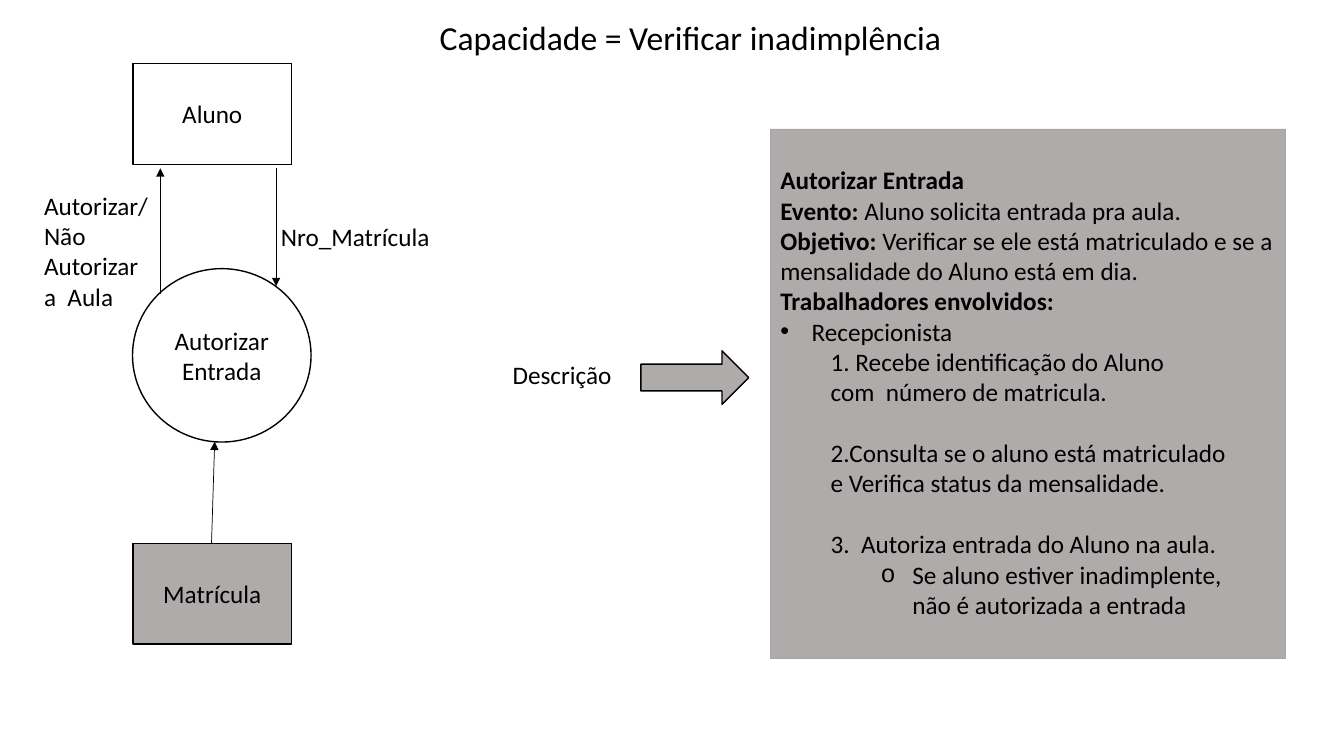
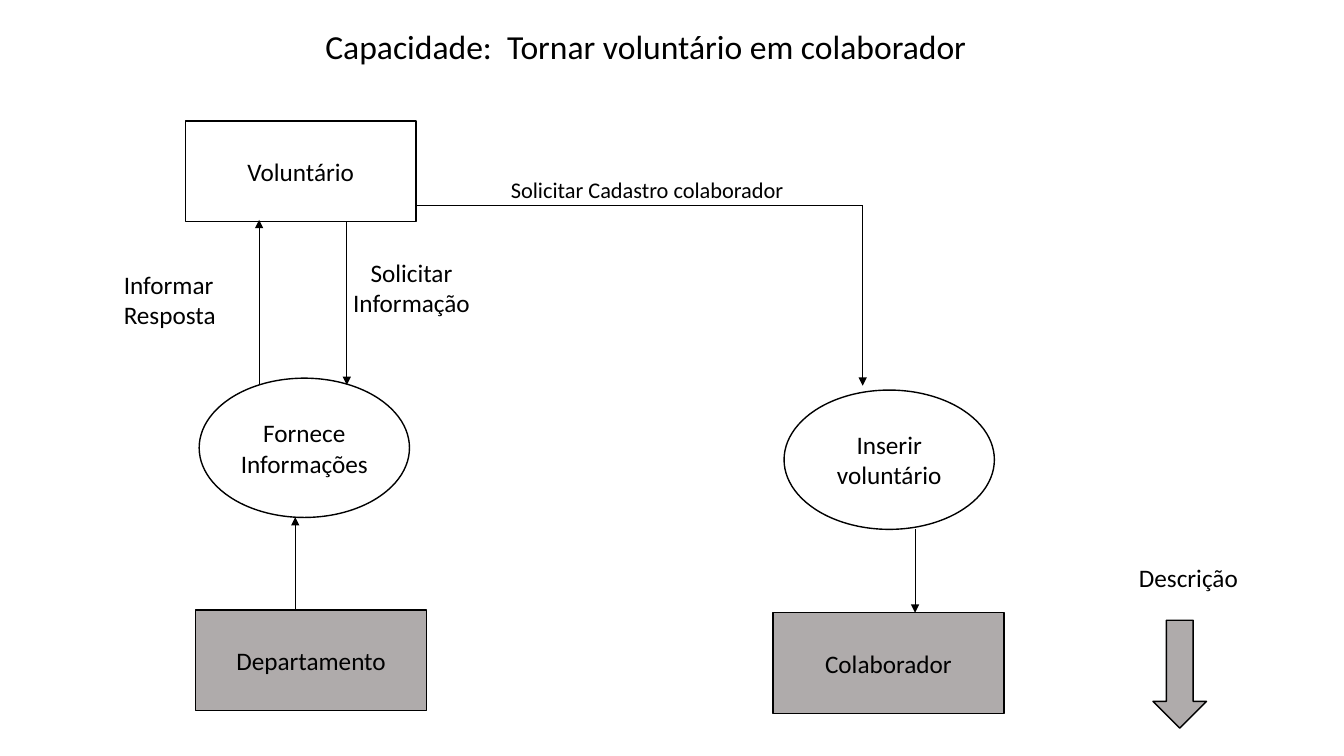
from collections import namedtuple

from lxml.etree import SubElement
from pptx import Presentation
from pptx.dml.color import RGBColor
from pptx.enum.shapes import MSO_CONNECTOR, MSO_SHAPE
from pptx.enum.text import MSO_ANCHOR, MSO_AUTO_SIZE, PP_ALIGN
from pptx.oxml.ns import qn
from pptx.util import Cm, Pt

BLACK = RGBColor(0x00, 0x00, 0x00)
WHITE = RGBColor(0xFF, 0xFF, 0xFF)
GRAY = RGBColor(0xAF, 0xAB, 0xAB)
EDGE_GRAY = RGBColor(0xA5, 0xA5, 0xA5)
FONT = "Calibri"
BODY_SIZE = 18
TITLE_SIZE = 24
LINE_GAP = 22
LABEL_HEIGHT = 1.02
ARROW_WIDTH, ARROW_HEIGHT = 2.72, 1.35

Box = namedtuple("Box", "left top width height")
Step = namedtuple("Step", "runs level left hanging bullet gap", defaults=(0, 0, 0, None, 0))


def inside(region, left, top, width, height):
    """Return a box given by its offset from the corner of a region."""
    return Box(region.left + left, region.top + top, width, height)


def style_text(frame, size=BODY_SIZE, align=PP_ALIGN.LEFT):
    """Format every run of a text frame in the shared font."""
    frame.word_wrap = True
    for paragraph in frame.paragraphs:
        paragraph.alignment = align
        for run in paragraph.runs:
            run.font.name = FONT
            run.font.size = Pt(size)
            run.font.color.rgb = BLACK


def paint(shape, fill, edge=BLACK, width=1):
    """Give a shape its fill and outline."""
    shape.fill.solid()
    shape.fill.fore_color.rgb = fill
    shape.line.color.rgb = edge
    shape.line.width = Pt(width)


def place(placeholder, box):
    """Move a placeholder to a box and fix its text size."""
    placeholder.left, placeholder.top, placeholder.width, placeholder.height = map(Cm, box)
    placeholder.text_frame.auto_size = MSO_AUTO_SIZE.NONE


def add_title(slide, box, text):
    """Write the capability in the title placeholder."""
    title = slide.shapes.title
    place(title, box)
    title.text_frame.text = text
    title.text_frame.vertical_anchor = MSO_ANCHOR.TOP
    style_text(title.text_frame, TITLE_SIZE, PP_ALIGN.CENTER)


def add_node(slide, box, kind, fill, text=""):
    """Draw one outlined shape with centred text."""
    node = slide.shapes.add_shape(kind, *map(Cm, box))
    node.shadow.inherit = False
    paint(node, fill)
    node.text_frame.text = text
    node.text_frame.vertical_anchor = MSO_ANCHOR.MIDDLE
    style_text(node.text_frame, align=PP_ALIGN.CENTER)
    return node


def add_entity(slide, box, text):
    """Draw an external entity."""
    add_node(slide, box, MSO_SHAPE.RECTANGLE, WHITE, text)


def add_store(slide, box, text):
    """Draw a data store."""
    add_node(slide, box, MSO_SHAPE.RECTANGLE, GRAY, text)


def add_process(slide, box, text):
    """Draw a process."""
    add_node(slide, box, MSO_SHAPE.OVAL, WHITE, text)


def add_label(slide, box, text, align=PP_ALIGN.LEFT, size=BODY_SIZE):
    """Write a free label."""
    label = slide.shapes.add_textbox(*map(Cm, box))
    label.text_frame.text = text
    style_text(label.text_frame, size, align)


def add_flow(slide, region, start, end, arrow=True):
    """Join two points of a region, with an arrowhead at the end."""
    points = [Cm(origin + offset) for point in (start, end)
              for origin, offset in zip(region[:2], point)]
    flow = slide.shapes.add_connector(MSO_CONNECTOR.STRAIGHT, *points)
    flow.line.color.rgb = BLACK
    flow.line.width = Pt(0.5)
    if arrow:
        SubElement(flow.line._get_or_add_ln(), qn("a:tailEnd"), type="triangle")
    SubElement(flow._element.spPr, qn("a:effectLst"))


def add_pointer(slide, region, downward=False):
    """Place the word for the description and a block arrow after it."""
    if downward:
        label_box = inside(region, 0, 0, region.width, LABEL_HEIGHT)
        arrow_box = inside(region, 0.2, region.height - (ARROW_WIDTH + ARROW_HEIGHT) / 2,
                           ARROW_WIDTH, ARROW_HEIGHT)
    else:
        arrow_left = region.width - ARROW_WIDTH
        label_box = inside(region, 0, 0.1, arrow_left, LABEL_HEIGHT)
        arrow_box = inside(region, arrow_left, 0, ARROW_WIDTH, ARROW_HEIGHT)
    add_label(slide, label_box, "Descrição", PP_ALIGN.CENTER if downward else PP_ALIGN.LEFT)
    pointer = add_node(slide, arrow_box, MSO_SHAPE.RIGHT_ARROW, GRAY)
    pointer.rotation = 90 if downward else 0


def add_description(slide, box, steps):
    """Fill the body placeholder with the steps of a process."""
    panel = slide.placeholders[1]
    place(panel, box)
    paint(panel, GRAY, EDGE_GRAY, 0.5)
    frame = panel.text_frame
    frame.vertical_anchor = MSO_ANCHOR.TOP
    frame.margin_top = Cm(0.9)
    for index, step in enumerate(steps):
        paragraph = frame.add_paragraph() if index else frame.paragraphs[0]
        paragraph.level = step.level
        paragraph.space_before = Pt(step.gap)
        for text, bold in step.runs:
            run = paragraph.add_run()
            run.text = text
            run.font.bold = bold
        properties = paragraph._p.get_or_add_pPr()
        properties.set("marL", str(Cm(step.left)))
        properties.set("indent", str(-Cm(step.hanging)))
        if step.bullet:
            SubElement(properties, qn("a:buChar"), char=step.bullet)
        else:
            SubElement(properties, qn("a:buNone"))
    style_text(frame)


def add_entry_flow(slide, region):
    """Draw how a student is let into class."""
    add_entity(slide, inside(region, 2.49, 0, 4, 2.54), "Aluno")
    add_store(slide, inside(region, 2.49, 12.09, 4, 2.54), "Matrícula")
    add_process(slide, inside(region, 2.48, 5.17, 4.5, 4.37), "Autorizar\nEntrada")
    add_flow(slide, region, (6.1, 2.64), (6.1, 5.61))
    add_flow(slide, region, (3.18, 5.82), (3.18, 2.64))
    add_flow(slide, region, (4.47, 12.09), (4.55, 9.53))
    add_label(slide, inside(region, 5.97, 3.84, 5, LABEL_HEIGHT), "Nro_Matrícula")
    add_label(slide, inside(region, 0, 3.07, 3.3, 3.33), "Autorizar/ Não Autorizar a  Aula")


def add_information_flow(slide, region):
    """Draw how a volunteer gets information."""
    add_entity(slide, inside(region, 1.8, 0, 5.82, 2.54), "Voluntário")
    add_process(slide, inside(region, 2.15, 6.48, 5.3, 3.51), "Fornece Informações")
    add_store(slide, inside(region, 2.06, 12.32, 5.82, 2.54), "Departamento")
    add_flow(slide, region, (5.87, 2.54), (5.87, 6.65))
    add_flow(slide, region, (3.66, 6.65), (3.66, 2.49))
    add_flow(slide, region, (4.57, 12.32), (4.57, 9.98))
    add_label(slide, inside(region, 0, 3.6, 3.78, 1.8), "Informar Resposta")
    add_label(slide, inside(region, 5.61, 3.3, 3.78, 1.8), "Solicitar\nInformação", PP_ALIGN.CENTER)


def add_registration_flow(slide, region):
    """Draw how a volunteer is registered as a collaborator."""
    corner = (11.28, 0.86)
    add_label(slide, inside(region, 1.66, 0, 8.38, 0.94), "Solicitar Cadastro colaborador",
              PP_ALIGN.CENTER, 16)
    add_flow(slide, region, (0, 0.86), corner, arrow=False)
    add_flow(slide, region, corner, (11.28, 5.4))
    add_process(slide, inside(region, 9.3, 5.51, 5.3, 3.51), "Inserir\nvoluntário")
    add_flow(slide, region, (12.6, 9.02), (12.6, 11.12))
    add_store(slide, inside(region, 9.02, 11.12, 5.82, 2.54), "Colaborador")


ENTRY_STEPS = [
    Step([("Autorizar Entrada", True)]),
    Step([("Evento: ", True), ("Aluno solicita entrada pra aula.", False)]),
    Step([("Objetivo: ", True),
          ("Verificar se ele está matriculado e se a mensalidade do Aluno está em dia.", False)]),
    Step([("Trabalhadores envolvidos:", True)]),
    Step([("Recepcionista", False)], 0, 0.79, 0.79, "•"),
    Step([("1. Recebe identificação do Aluno com\u00a0\u00a0número de matricula.", False)], 1, 1.27),
    Step([("2.Consulta se o aluno está matriculado e\u00a0Verifica status da mensalidade.", False)],
         1, 1.27, gap=LINE_GAP),
    Step([("3.\u00a0\u00a0Autoriza entrada do Aluno na aula.", False)], 1, 1.27, gap=LINE_GAP),
    Step([("Se aluno estiver inadimplente, não\u00a0é autorizada a entrada", False)],
         2, 3.33, 0.79, "o"),
]


def build_default_check(deck):
    """Build the slide on checking overdue payments."""
    slide = deck.slides.add_slide(deck.slide_layouts[1])
    add_title(slide, Box(8.23, 0.3, 18.34, 1.27), "Capacidade = Verificar inadimplência")
    add_entry_flow(slide, Box(0.86, 1.6, 11, 14.63))
    add_pointer(slide, Box(12.67, 8.84, 6.2, ARROW_HEIGHT))
    add_description(slide, Box(19.41, 3.25, 12.98, 13.34), ENTRY_STEPS)


def build_volunteer_change(deck):
    """Build the slide on making a volunteer a collaborator."""
    slide = deck.slides.add_slide(deck.slide_layouts[5])
    add_title(slide, Box(6.68, 0.53, 19.38, 1.27),
              "Capacidade:\u00a0 Tornar voluntário em colaborador ")
    add_information_flow(slide, Box(2.87, 3.05, 9.4, 14.86))
    add_registration_flow(slide, Box(10.46, 4.32, 14.84, 13.66))
    add_pointer(slide, Box(28.17, 14.05, 3.56, 4.3), downward=True)


deck = Presentation()
deck.slide_width, deck.slide_height = Cm(33.87), Cm(19.05)
build_default_check(deck)
build_volunteer_change(deck)
deck.save("out.pptx")
